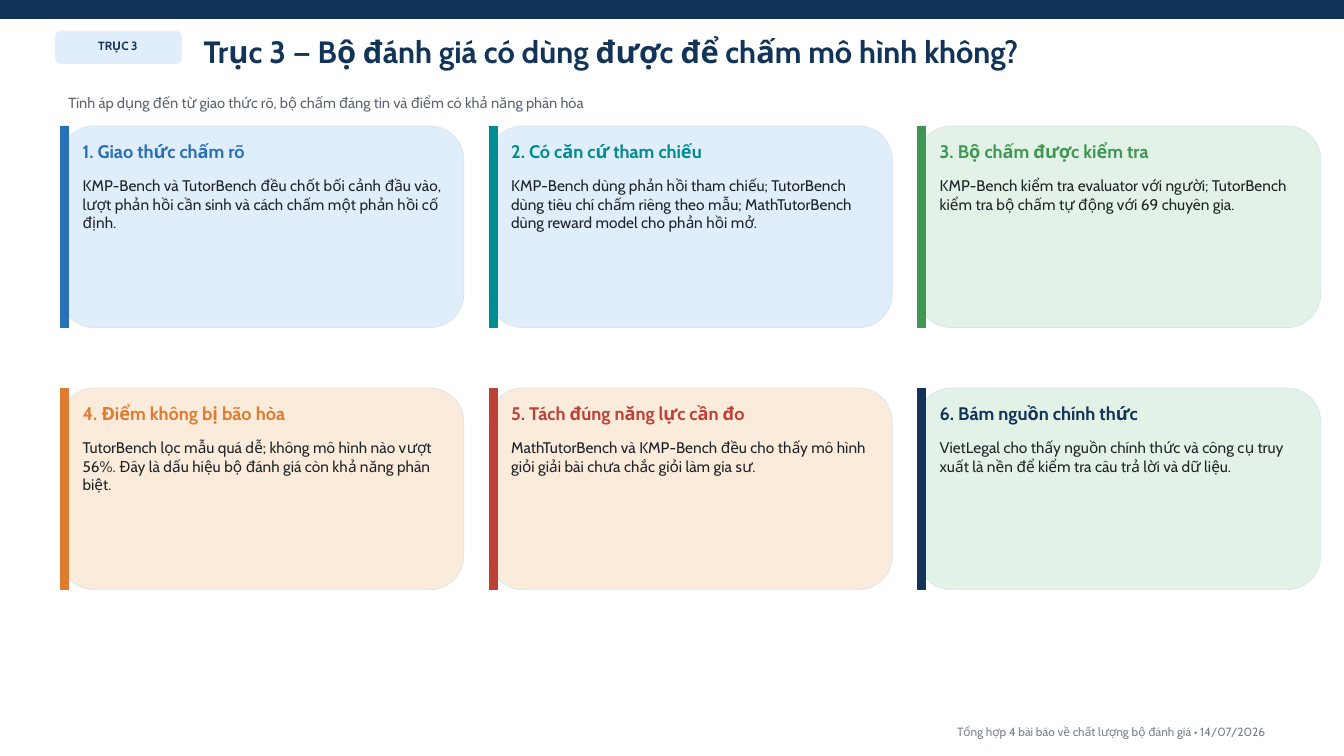
from pptx import Presentation
from pptx.dml.color import RGBColor
from pptx.enum.shapes import MSO_SHAPE
from pptx.enum.text import MSO_AUTO_SIZE, PP_ALIGN
from pptx.util import Inches, Pt

FONT = "Cabin"
COLORS = {
    "navy": "123458", "blue": "2871B9", "teal": "008D91",
    "green": "409753", "orange": "E07C30", "red": "BE4137",
    "pale_blue": "E0EDFA", "pale_green": "E2F2E7", "pale_orange": "FBEBDB",
    "card_border": "DCE4EC", "body": "1E2328",
    "subtitle": "5B6370", "footer": "78808C",
}
TIGHT_INSETS = (0.04, 0.02, 0.04, 0.05)
NORMAL_INSETS = (0.1, 0.05, 0.1, 0.05)

# Heading, body, accent colour, fill colour
CARDS = [
    ("1. Giao thức chấm rõ",
     "KMP-Bench và TutorBench đều chốt bối cảnh đầu vào, lượt phản hồi cần sinh "
     "và cách chấm một phản hồi cố định.", "blue", "pale_blue"),
    ("2. Có căn cứ tham chiếu",
     "KMP-Bench dùng phản hồi tham chiếu; TutorBench dùng tiêu chí chấm riêng theo mẫu; "
     "MathTutorBench dùng reward model cho phản hồi mở.", "teal", "pale_blue"),
    ("3. Bộ chấm được kiểm tra",
     "KMP-Bench kiểm tra evaluator với người; TutorBench kiểm tra bộ chấm tự động "
     "với 69 chuyên gia.", "green", "pale_green"),
    ("4. Điểm không bị bão hòa",
     "TutorBench lọc mẫu quá dễ; không mô hình nào vượt 56%. Đây là dấu hiệu "
     "bộ đánh giá còn khả năng phân biệt.", "orange", "pale_orange"),
    ("5. Tách đúng năng lực cần đo",
     "MathTutorBench và KMP-Bench đều cho thấy mô hình giỏi giải bài "
     "chưa chắc giỏi làm gia sư.", "red", "pale_orange"),
    ("6. Bám nguồn chính thức",
     "VietLegal cho thấy nguồn chính thức và công cụ truy xuất là nền để kiểm tra "
     "câu trả lời và dữ liệu.", "navy", "pale_green"),
]


def color(name):
    return RGBColor.from_string(COLORS[name])


def add_panel(slide, kind, left, top, width, height, fill, border=None):
    shape = slide.shapes.add_shape(
        kind, Inches(left), Inches(top), Inches(width), Inches(height))
    shape.shadow.inherit = False
    shape.fill.solid()
    shape.fill.fore_color.rgb = color(fill)
    shape.line.color.rgb = color(border or fill)
    shape.line.width = Pt(0.5)


def add_text(slide, text, left, top, width, height, size, color_name, bold=False,
             align=PP_ALIGN.LEFT, insets=NORMAL_INSETS, wrap=True):
    box = slide.shapes.add_textbox(
        Inches(left), Inches(top), Inches(width), Inches(height))
    frame = box.text_frame
    frame.word_wrap = wrap
    frame.auto_size = MSO_AUTO_SIZE.SHAPE_TO_FIT_TEXT
    (frame.margin_left, frame.margin_top,
     frame.margin_right, frame.margin_bottom) = map(Inches, insets)
    paragraph = frame.paragraphs[0]
    paragraph.alignment = align
    run = paragraph.add_run()
    run.text = text
    run.font.name = FONT
    run.font.size = Pt(size)
    run.font.bold = bold
    run.font.color.rgb = color(color_name)


def add_header(slide, left, top, width):
    # Top band
    add_panel(slide, MSO_SHAPE.RECTANGLE, 0, 0, 13.33, 0.18, "navy")
    # Axis tag
    add_panel(slide, MSO_SHAPE.ROUNDED_RECTANGLE, left, top + 0.03, 1.25, 0.32, "pale_blue")
    add_text(slide, "TRỤC 3", left + 0.07, top + 0.08, 1.1, 0.2, 8.5, "navy",
             bold=True, align=PP_ALIGN.CENTER, insets=TIGHT_INSETS)
    # Title and subtitle
    add_text(slide, "Trục 3 — Bộ đánh giá có dùng được để chấm mô hình không?",
             left + 1.37, top, width - 1.37, 0.58, 22, "navy", bold=True)
    add_text(slide, "Tính áp dụng đến từ giao thức rõ, bộ chấm đáng tin và điểm có khả năng phân hóa",
             left + 0.03, top + 0.6, 11.9, 0.36, 10.5, "subtitle")


def add_card(slide, left, top, width, height, heading, body, accent, fill):
    add_panel(slide, MSO_SHAPE.ROUNDED_RECTANGLE, left, top, width, height, fill, "card_border")
    add_panel(slide, MSO_SHAPE.RECTANGLE, left, top, 0.08, height, accent)
    add_text(slide, heading, left + 0.18, top + 0.12, width - 0.28, 0.28, 13, accent,
             bold=True, insets=TIGHT_INSETS)
    add_text(slide, body, left + 0.18, top + 0.48, width - 0.34, height - 0.55, 11, "body",
             insets=TIGHT_INSETS)


def add_card_grid(slide, left, top, columns=3, width=4, height=2, gap_x=0.25, gap_y=0.6):
    for index, card in enumerate(CARDS):
        row, column = divmod(index, columns)
        add_card(slide, left + column * (width + gap_x), top + row * (height + gap_y),
                 width, height, *card)


def add_footer(slide, left, top, width, height):
    add_text(slide, "Tổng hợp 4 bài báo về chất lượng bộ đánh giá • 14/07/2026",
             left, top, width, height, 8.5, "footer", align=PP_ALIGN.RIGHT, wrap=False)


def main():
    presentation = Presentation()
    presentation.slide_width = Inches(13.33)
    presentation.slide_height = Inches(7.5)
    slide = presentation.slides.add_slide(presentation.slide_layouts[6])
    add_header(slide, 0.55, 0.28, 12.75)
    add_footer(slide, 0.55, 7.14, 12.1, 0.25)
    add_card_grid(slide, 0.6, 1.25)
    presentation.save("out.pptx")


if __name__ == "__main__":
    main()
